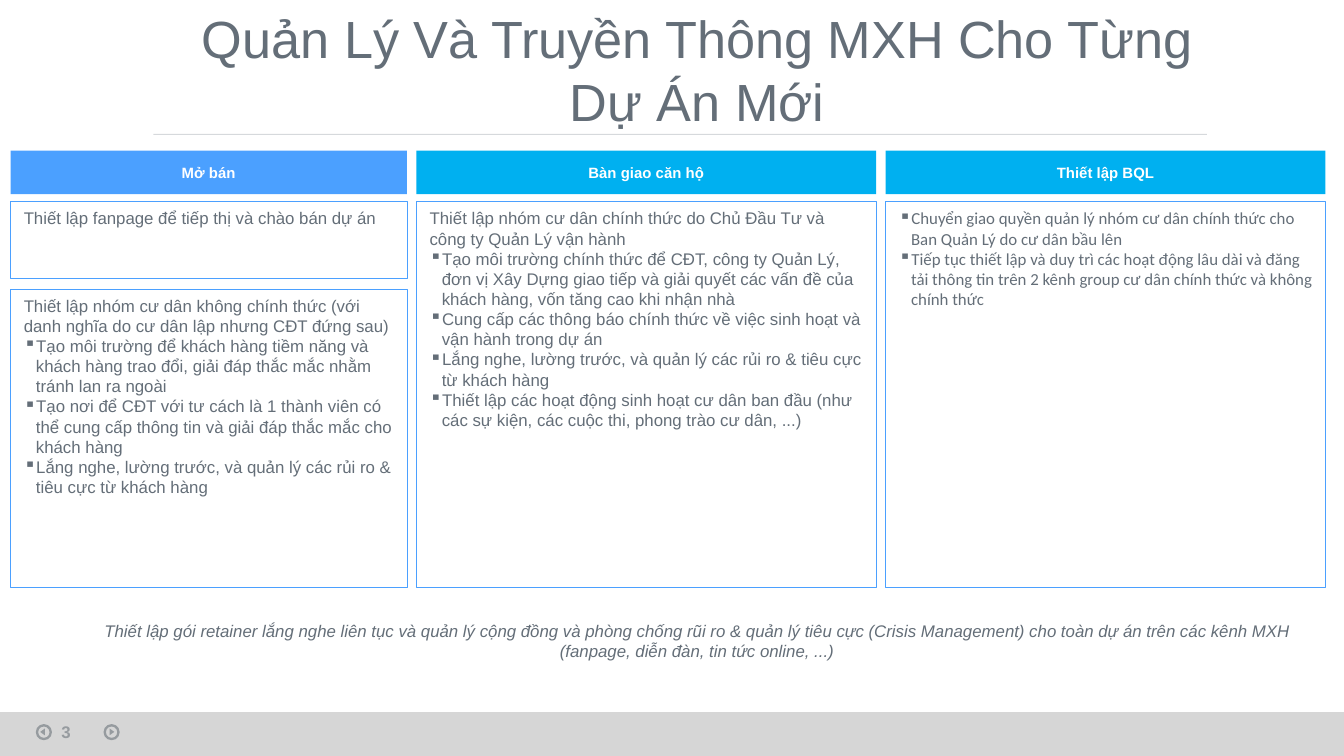
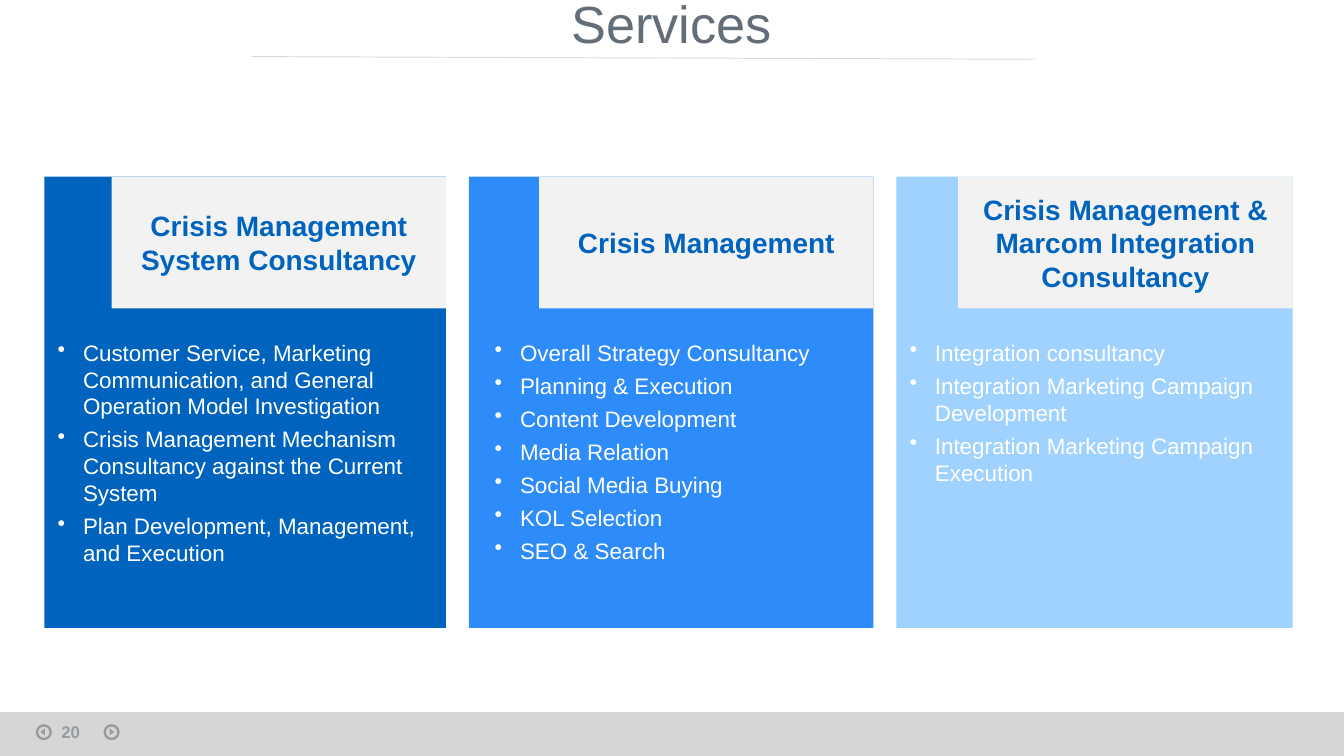
from lxml import etree
from pptx import Presentation
from pptx import util as u
from pptx.dml.color import RGBColor
from pptx.enum import shapes, text
from pptx.oxml.ns import qn

Cm, Pt = u.Cm, u.Pt
SHAPE = shapes.MSO_SHAPE
ALIGN = text.PP_ALIGN
ANCHOR = text.MSO_ANCHOR

SLATE = RGBColor(0x64, 0x6E, 0x78)
INK = RGBColor(0x05, 0x14, 0x23)
BAND = RGBColor(0xD2, 0xD2, 0xD2)
WHITE = RGBColor(0xFF, 0xFF, 0xFF)
PALE = RGBColor(0xF2, 0xF2, 0xF2)
CYAN = RGBColor(0x00, 0xB0, 0xF0)
SKY = RGBColor(0x4B, 0xA0, 0xFF)
NAVY = RGBColor(0x00, 0x64, 0xBE)
AZURE = RGBColor(0x2D, 0x8C, 0xFA)
LIGHT = RGBColor(0xA0, 0xD2, 0xFF)

BULLET_INDENT = Cm(0.48)
SMALL_INDENT = Cm(0.23)

PHASE_LEFT, PHASE_GAP = 0.2, 0.18
HEADER_TOP, HEADER_HEIGHT = 2.85, 0.82
PANEL_TOP, PANEL_BOTTOM, PANEL_GAP = 3.81, 11.1, 0.2
PHASES = [
    ("Mở bán", SKY, 7.49, "Arial", [
        (1.45, "Thiết lập fanpage để tiếp thị và chào bán dự án", []),
        (5.64, "Thiết lập nhóm cư dân không chính thức (với danh nghĩa do cư dân lập nhưng CĐT đứng sau)", [
            "Tạo môi trường để khách hàng tiềm năng và khách hàng trao đổi, giải đáp thắc mắc nhằm tránh lan ra ngoài",
            "Tạo nơi để CĐT với tư cách là 1 thành viên có thể cung cấp thông tin và giải đáp thắc mắc cho khách hàng",
            "Lắng nghe, lường trước, và quản lý các rủi ro & tiêu cực từ khách hàng",
        ]),
    ]),
    ("Bàn giao căn hộ", CYAN, 8.69, "Arial", [
        (7.29, "Thiết lập nhóm cư dân chính thức do Chủ Đầu Tư và công ty Quản Lý vận hành", [
            "Tạo môi trường chính thức để CĐT, công ty Quản Lý, đơn vị Xây Dựng giao tiếp và giải quyết các vấn đề của khách hàng, vốn tăng cao khi nhận nhà",
            "Cung cấp các thông báo chính thức về việc sinh hoạt và vận hành trong dự án",
            "Lắng nghe, lường trước, và quản lý các rủi ro & tiêu cực từ khách hàng",
            "Thiết lập các hoạt động sinh hoạt cư dân ban đầu (như các sự kiện, các cuộc thi, phong trào cư dân, ...)",
        ]),
    ]),
    ("Thiết lập BQL", CYAN, 8.31, "Calibri", [
        (7.29, None, [
            "Chuyển giao quyền quản lý nhóm cư dân chính thức cho Ban Quản Lý do cư dân bầu lên",
            "Tiếp tục thiết lập và duy trì các hoạt động lâu dài và đăng tải thông tin trên 2 kênh group cư dân chính thức và không chính thức",
        ]),
    ]),
]
RETAINER = ("Thiết lập gói retainer lắng nghe liên tục và quản lý cộng đồng và phòng chống rũi ro "
            "& quản lý tiêu cực (Crisis Management) cho toàn dự án trên các kênh MXH "
            "(fanpage, diễn đàn, tin tức online, ...)")

CARD_LEFT, CARD_TOP, CARD_GAP, CARD_HEIGHT = 0.84, 3.34, 0.43, 8.53
HEADING_WIDTH, HEADING_HEIGHT = 6.32, 2.49
SERVICES = [
    ("Crisis Management System Consultancy", NAVY, 7.59, 0, 4.57, [
        "Customer Service, Marketing Communication, and General Operation Model Investigation",
        "Crisis Management Mechanism Consultancy against the Current System",
        "Plan Development, Management, and Execution",
    ]),
    ("Crisis Management", AZURE, 7.65, 0.24, 4.5, [
        "Overall Strategy Consultancy",
        "Planning & Execution",
        "Content Development",
        "Media Relation",
        "Social Media Buying",
        "KOL Selection",
        "SEO & Search",
    ]),
    ("Crisis Management & Marcom Integration Consultancy", LIGHT, 7.49, 0, 3, [
        "Integration consultancy",
        "Integration Marketing Campaign Development",
        "Integration Marketing Campaign Execution",
    ]),
]


def fade(element, percent):
    for color in element.iter(qn("a:srgbClr")):
        etree.SubElement(color, qn("a:alpha"), val=str(percent * 1000))


def add_block(page, left, top, width, height, fill=None, line=None, weight=0.25, kind=SHAPE.RECTANGLE):
    block = page.shapes.add_shape(kind, Cm(left), Cm(top), Cm(width), Cm(height))
    block.shadow.inherit = False
    if fill is None:
        block.fill.background()
    else:
        block.fill.solid()
        block.fill.fore_color.rgb = fill
    if line is None:
        block.line.fill.background()
    else:
        block.line.color.rgb = line
        block.line.width = Pt(weight)
    return block


def add_box(page, left, top, width, height):
    return page.shapes.add_textbox(Cm(left), Cm(top), Cm(width), Cm(height))


def add_para(box, words, size, color, name="Arial", align=ALIGN.LEFT,
             bold=False, italic=False, bullet=None, indent=0):
    frame = box.text_frame
    frame.word_wrap = True
    para = frame.paragraphs[0]
    if para.runs:
        para = frame.add_paragraph()
    para.add_run().text = words
    para.alignment = align
    if bullet:
        properties = para._p.get_or_add_pPr()
        properties.set("marL", str(indent))
        properties.set("indent", str(-indent))
        etree.SubElement(properties, qn("a:buChar"), char=bullet)
    para.line_spacing = Pt(size * 1.2)
    font = para.font
    font.name, font.size, font.bold, font.italic = name, Pt(size), bold, italic
    font.color.rgb = color
    return para


def add_label(block, words, size, color):
    block.text_frame.vertical_anchor = ANCHOR.MIDDLE
    add_para(block, words, size, color, align=ALIGN.CENTER, bold=True)


def add_title(page, words, left, top, width):
    box = add_box(page, left, top, width, 1.17)
    add_para(box, words, 28, SLATE, align=ALIGN.CENTER)


def add_rule(page, start_x, start_y, end_x, end_y):
    rule = page.shapes.add_connector(shapes.MSO_CONNECTOR.STRAIGHT,
                                     Cm(start_x), Cm(start_y), Cm(end_x), Cm(end_y))
    rule.line.color.rgb = SLATE
    rule.line.width = Pt(0.5)
    fade(rule._element, 25)
    etree.SubElement(rule._element.spPr, qn("a:effectLst"))


def add_footer(page, number):
    fade(add_block(page, 0, 13.46, 25.4, 0.83, fill=BAND)._element, 90)
    for ring_left, arrow_left, turn in ((1.98, 2.05, 90), (0.7, 0.74, 270)):
        ring = add_block(page, ring_left, 13.71, 0.26, 0.26, line=INK, weight=1.25, kind=SHAPE.OVAL)
        arrow = add_block(page, arrow_left, 13.79, 0.13, 0.09, fill=INK, kind=SHAPE.ISOSCELES_TRIANGLE)
        arrow.rotation = turn
        for part in (ring, arrow):
            fade(part._element, 30)
    para = add_para(add_box(page, 0.91, 13.51, 1.07, 0.53), str(number), 9, INK, bold=True)
    fade(para._p, 30)


def add_panel(page, left, top, width, height, name, intro, points):
    panel = add_block(page, left, top, width, height, line=SKY)
    panel.text_frame.vertical_anchor = ANCHOR.TOP
    if intro:
        add_para(panel, intro, 9, SLATE, name)
    for point in points:
        add_para(panel, point, 9, SLATE, name, bullet="▪", indent=SMALL_INDENT)


def add_card(page, left, heading, color, width, inset, text_height, points):
    add_block(page, left, CARD_TOP, width, CARD_HEIGHT, fill=color)
    tab = add_block(page, left + width - HEADING_WIDTH, CARD_TOP, HEADING_WIDTH, HEADING_HEIGHT, fill=PALE)
    add_label(tab, heading, 15, NAVY)
    box = add_box(page, left + inset, 6.28, width - 2 * inset, text_height)
    box.text_frame.auto_size = text.MSO_AUTO_SIZE.SHAPE_TO_FIT_TEXT
    for index, point in enumerate(points):
        para = add_para(box, point, 12, WHITE, bullet="•", indent=BULLET_INDENT)
        para.space_before = Pt(1.1 if index else 0)
        para.space_after = Pt(2.2)


def build_phases(page):
    add_footer(page, 3)
    add_title(page, "Quản Lý Và Truyền Thông MXH Cho Từng Dự Án Mới", 2.9, 0, 20.55)
    left = PHASE_LEFT
    for heading, color, width, name, panels in PHASES:
        header = add_block(page, left, HEADER_TOP, width, HEADER_HEIGHT, fill=color)
        add_label(header, heading, 8, WHITE)
        top = PANEL_TOP
        for height, intro, points in panels:
            add_panel(page, left, top, width, height, name, intro, points)
            top = round(top + height + PANEL_GAP, 2)
        left += width + PHASE_GAP
    note = add_box(page, 1.12, 11.61, 24.1, 1.02)
    note.text_frame.auto_size = text.MSO_AUTO_SIZE.SHAPE_TO_FIT_TEXT
    add_para(note, RETAINER, 9, SLATE, align=ALIGN.CENTER, italic=True)
    add_rule(page, 2.9, 2.54, 22.81, 2.54)


def build_services(page):
    add_footer(page, 20)
    add_title(page, "Services", 3.1, -0.28, 19.18)
    left = CARD_LEFT
    for heading, color, width, inset, text_height, points in SERVICES:
        add_card(page, left, heading, color, width, inset, text_height, points)
        left += width + CARD_GAP
    add_rule(page, 4.75, 1.07, 19.56, 1.12)


def main():
    deck = Presentation()
    deck.slide_width, deck.slide_height = Cm(25.4), Cm(14.29)
    blank = deck.slide_layouts[6]
    for build in (build_phases, build_services):
        build(deck.slides.add_slide(blank))
    deck.save("out.pptx")


if __name__ == "__main__":
    main()
